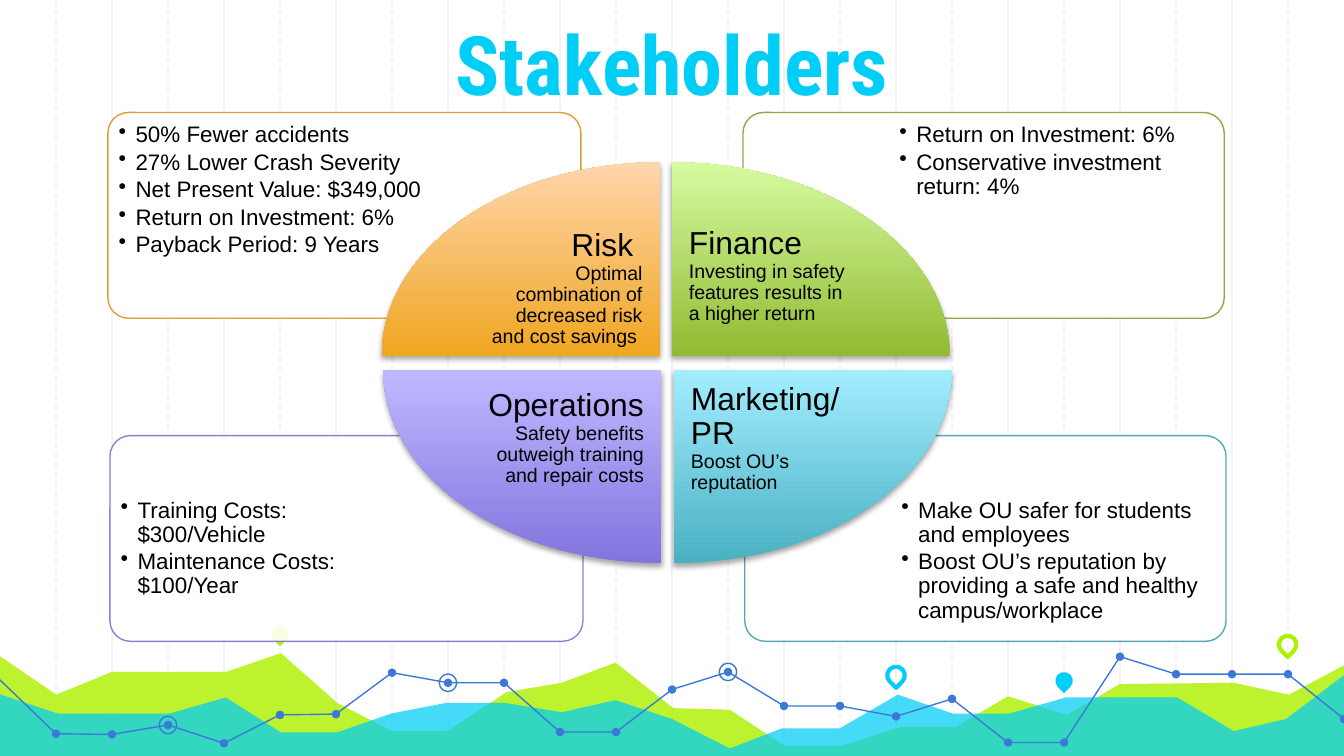
import copy
import dataclasses

import lxml.etree
import pptx
import pptx.dml.color
import pptx.enum.dml
import pptx.enum.shapes
import pptx.enum.text
import pptx.oxml.ns
import pptx.util

Pt = pptx.util.Pt
qn = pptx.oxml.ns.qn
SHAPES = pptx.enum.shapes.MSO_SHAPE
ALIGN = pptx.enum.text.PP_ALIGN
ANCHOR = pptx.enum.text.MSO_ANCHOR


@dataclasses.dataclass(frozen=True)
class Theme:
    body_font: str = "Arial"
    title_font: str = "Roboto Condensed"
    title_size: float = 44
    name_size: float = 17
    gap_size: float = 18
    claim_size: float = 10.5
    bullet_size: float = 12
    black: str = "000000"
    white: str = "FFFFFF"
    grid: str = "F3F3F3"
    lime: str = "AFF000"
    cyan: str = "00CEF6"
    blue: str = "3C78D8"


THEME = Theme()
WIDTH, HEIGHT, BASELINE = 720, 405, 406.5
GRID_STEP = 30
WEDGE_W, WEDGE_H = 149, 103.7
CLAIM_W, CLAIM_H = 105.1, 73.4
PANEL_H, BULLETS_H, PANEL_GAP = 110.2, 77.8, 2.2


@dataclasses.dataclass(frozen=True)
class Stakeholder:
    on_left: bool
    on_top: bool
    panel: tuple   # left, top, width
    wedge: tuple   # left, top, quarter turns
    colours: tuple  # border, dark, light
    bullets: tuple
    claim: tuple   # (text, size, colour)


def claim(name, text):
    return ((name + "\n", THEME.name_size, THEME.black),
            (text, THEME.claim_size, THEME.black))


RISK = Stakeholder(
    True, True, (57.8, 60.3, 253.4), (204.5, 87, 0), ("D89F39", "F0A621", "FFD6AD"),
    ("50% Fewer accidents", "27% Lower Crash Severity", "Net Present Value: $349,000",
     "Return on Investment: 6%", "Payback Period: 9 Years"),
    (("Risk", THEME.name_size, THEME.black), (" \n", THEME.gap_size, THEME.white),
     ("Optimal combination of decreased risk and cost savings ",
      THEME.claim_size, THEME.black)))
FINANCE = Stakeholder(
    False, True, (398, 60.3, 257.8), (359.8, 87, 1), ("8BAB42", "91BB32", "D6FBA0"),
    ("Return on Investment: 6%", "Conservative investment return: 4%"),
    claim("Finance", "Investing in safety features results in a higher return\n"))
MARKETING = Stakeholder(
    False, False, (399, 233.4, 257.8), (360.9, 198, 2), ("57A7B5", "49B1C3", "A2EDFF"),
    ("Make OU safer for students and employees",
     "Boost OU’s reputation by providing a safe and healthy campus/workplace"),
    claim("Marketing/ PR", "Boost OU’s reputation"))
OPERATIONS = Stakeholder(
    True, False, (58.9, 233.4, 253.4), (205.3, 198, 3), ("8B81D2", "8275DE", "BFB8FF"),
    ("Training Costs: \n$300/Vehicle", "Maintenance Costs: \n$100/Year"),
    claim("Operations", "Safety benefits outweigh training and repair costs"))

LIME_HILLS = [
    (-1.4, 350.6), (30.2, 372.2), (59.8, 360), (121, 360), (150.5, 349.9), (180.7, 376.6),
    (210.2, 391.7), (239.8, 391.7), (271.4, 370.8), (301, 365.8), (329.8, 355),
    (360.7, 379.4), (391, 380.2), (420.5, 399.6), (450.7, 399.6), (482.4, 389.5),
    (511.9, 389.5), (540, 373), (571.7, 383), (599.8, 366.5), (661, 365.8),
    (690.5, 372.2), (721.4, 355.7)]
CYAN_HILLS = [
    (-1.4, 371.5), (31, 382.3), (90.7, 382.3), (121, 373.7), (150.5, 392.4), (180.7, 392.4),
    (209.5, 382.3), (239, 376.6), (270.7, 376.6), (301, 381.6), (329.8, 375.1),
    (360, 385.2), (391, 401), (419, 390.2), (450, 390.2), (481, 372.2), (510.5, 382.3),
    (540.7, 382.3), (571, 373.7), (630.7, 373.7), (661, 391.7), (689, 385.2), (721.4, 360.7)]
TREND = [
    364.3, 393.1, 393.5, 388.4, 398.2, 383, 382.6, 360.4, 365.8, 365.8, 392.2, 392.2, 369.4,
    360, 378.2, 378.2, 383.8, 374.4, 397.8, 397.8, 351.8, 361.2, 361.2, 361.2, 385.2]


def rgb(colour):
    return pptx.dml.color.RGBColor.from_string(colour)


def paint(shape, fill=None, line=None, weight=0.75, alpha=None):
    shape.shadow.inherit = False
    if fill:
        shape.fill.solid()
        shape.fill.fore_color.rgb = rgb(fill)
        if alpha:
            tone = shape._element.spPr.find(qn("a:solidFill"))[0]
            lxml.etree.SubElement(tone, qn("a:alpha")).set("val", str(alpha * 1000))
    else:
        shape.fill.background()
    if line:
        shape.line.color.rgb = rgb(line)
        shape.line.width = Pt(weight)
    else:
        shape.line.fill.background()


def add_preset(slide, kind, left, top, width, height, **look):
    shape = slide.shapes.add_shape(kind, Pt(left), Pt(top), Pt(width), Pt(height))
    paint(shape, **look)
    return shape


def add_marker(slide, kind, x, y, size, **look):
    return add_preset(slide, kind, x - size / 2, y - size / 2, size, size, **look)


def add_outline(slide, points, close, **look):
    corners = [(Pt(x), Pt(y)) for x, y in points]
    builder = slide.shapes.build_freeform(*corners[0], scale=1.0)
    builder.add_line_segments(corners[1:], close=close)
    paint(builder.convert_to_shape(), **look)


def add_text_frame(slide, left, top, width, height, inset, anchor):
    box = slide.shapes.add_textbox(Pt(left), Pt(top), Pt(width), Pt(height))
    frame = box.text_frame
    frame.word_wrap = True
    frame.vertical_anchor = anchor
    frame.margin_left = frame.margin_right = Pt(inset)
    frame.margin_top = frame.margin_bottom = Pt(inset)
    return frame


def add_run(paragraph, text, size, colour, font=THEME.body_font, bold=False):
    """Add text; each newline becomes a line break of the same type size."""
    for index, part in enumerate(text.split("\n")):
        if index:
            paragraph.add_line_break()
            paragraph._p[-1].append(copy.deepcopy(run._r.rPr))
        if part:
            run = paragraph.add_run()
            run.text = part
            run.font.name, run.font.size, run.font.bold = font, Pt(size), bold
            run.font.color.rgb = rgb(colour)


def add_grid(slide):
    for first, dashed in ((2, False), (1, True)):
        for x in range(first * GRID_STEP, WIDTH, 2 * GRID_STEP):
            rule = slide.shapes.add_connector(
                pptx.enum.shapes.MSO_CONNECTOR.STRAIGHT, Pt(x), 0, Pt(x), Pt(BASELINE))
            rule.line.color.rgb = rgb(THEME.grid)
            rule.line.width = Pt(0.75)
            if dashed:
                rule.line.dash_style = pptx.enum.dml.MSO_LINE.DASH
            lxml.etree.SubElement(rule._element.spPr, qn("a:effectLst"))


def add_pin(slide, x, y, **look):
    add_marker(slide, SHAPES.TEAR, x, y, 9.4, **look).rotation = 135


def add_landscape(slide):
    floor = [(722, BASELINE), (-2, BASELINE)]
    add_outline(slide, LIME_HILLS + floor, True, fill=THEME.lime, alpha=82)
    add_outline(slide, CYAN_HILLS + floor, True, fill=THEME.cyan, alpha=73)
    add_pin(slide, 150, 339.5, fill=THEME.lime)
    add_pin(slide, 480, 361.8, line=THEME.cyan, weight=2.25)
    add_pin(slide, 570, 364.7, fill=THEME.cyan)
    add_pin(slide, 689.8, 345.3, line=THEME.lime, weight=2.25)
    # Trend line in three stretches, with dots and rings
    trend = [(GRID_STEP * i, y) for i, y in enumerate(TREND)]
    for stretch in (trend[:12], trend[11:21], trend[20:]):
        add_outline(slide, stretch, False, line=THEME.blue)
    for x, y in trend[1:]:
        add_marker(slide, SHAPES.OVAL, x, y, 4.5, fill=THEME.blue)
    for i in (8, 3, 13):
        add_marker(slide, SHAPES.OVAL, *trend[i], 9.4, line=THEME.blue)


def add_panel(slide, holder):
    left, top, width = holder.panel
    panel = add_preset(slide, SHAPES.ROUNDED_RECTANGLE, left, top, width, PANEL_H,
                       fill=THEME.white, alpha=90, line=holder.colours[0])
    panel.adjustments[0] = 0.1
    text_w = 0.68 * width
    text_left = left + (PANEL_GAP if holder.on_left else width - text_w - PANEL_GAP)
    text_top = top + (PANEL_GAP if holder.on_top else PANEL_H - BULLETS_H - PANEL_GAP)
    frame = add_text_frame(slide, text_left, text_top, text_w, BULLETS_H, 3.6, ANCHOR.TOP)
    for index, text in enumerate(holder.bullets):
        bullet = frame.add_paragraph() if index else frame.paragraphs[0]
        bullet.line_spacing, bullet.space_after = 0.9, Pt(1.8)
        props = bullet._p.get_or_add_pPr()
        props.set("marL", str(Pt(9)))
        props.set("indent", str(Pt(-9)))
        lxml.etree.SubElement(props, qn("a:buChar")).set("char", "•")
        add_run(bullet, text, THEME.bullet_size, THEME.black)


def add_wedge(slide, holder):
    left, top, turns = holder.wedge
    width, height = (WEDGE_H, WEDGE_W) if turns % 2 else (WEDGE_W, WEDGE_H)
    wedge = add_preset(slide, SHAPES.PIE_WEDGE, left + (WEDGE_W - width) / 2,
                       top + (WEDGE_H - height) / 2, width, height)
    wedge.rotation = 90 * turns
    # Upright gradient, dark at the bottom
    wedge.fill.gradient()
    wedge.fill.gradient_angle = 90
    for stop, colour in zip(wedge.fill.gradient_stops, holder.colours[1:]):
        stop.color.rgb = rgb(colour)
    props = wedge._element.spPr
    props.find(qn("a:gradFill")).set("rotWithShape", "0")
    # Soft shadow below
    shadow = lxml.etree.SubElement(props.find(qn("a:effectLst")), qn("a:outerShdw"))
    for key, value in (("blurRad", Pt(3.1)), ("dist", Pt(1.8)),
                       ("dir", 5400000), ("rotWithShape", 0)):
        shadow.set(key, str(value))
    tone = lxml.etree.SubElement(shadow, qn("a:srgbClr"))
    tone.set("val", THEME.black)
    lxml.etree.SubElement(tone, qn("a:alpha")).set("val", "35000")
    # Name and claim, near the centre of the wheel
    text_left = left + (WEDGE_W - CLAIM_W if holder.on_left else 0)
    text_top = top + (WEDGE_H - CLAIM_H if holder.on_top else 0)
    frame = add_text_frame(slide, text_left, text_top, CLAIM_W, CLAIM_H, 9.3, ANCHOR.MIDDLE)
    paragraph = frame.paragraphs[0]
    paragraph.alignment = ALIGN.RIGHT if holder.on_left else ALIGN.LEFT
    paragraph.line_spacing = 0.9
    for text, size, colour in holder.claim:
        add_run(paragraph, text, size, colour)


def add_title(slide, text):
    title = add_text_frame(slide, 0, 0, WIDTH, 67, 7.2, ANCHOR.BOTTOM).paragraphs[0]
    title.alignment = ALIGN.CENTER
    add_run(title, text, THEME.title_size, THEME.cyan, THEME.title_font, True)


def main():
    deck = pptx.Presentation()
    deck.slide_width, deck.slide_height = Pt(WIDTH), Pt(HEIGHT)
    slide = deck.slides.add_slide(deck.slide_layouts[6])
    add_grid(slide)
    add_landscape(slide)
    for holder in (MARKETING, OPERATIONS, FINANCE, RISK):
        add_panel(slide, holder)
    for holder in (RISK, FINANCE, MARKETING, OPERATIONS):
        add_wedge(slide, holder)
    add_title(slide, "Stakeholders")
    deck.save("out.pptx")


main()
